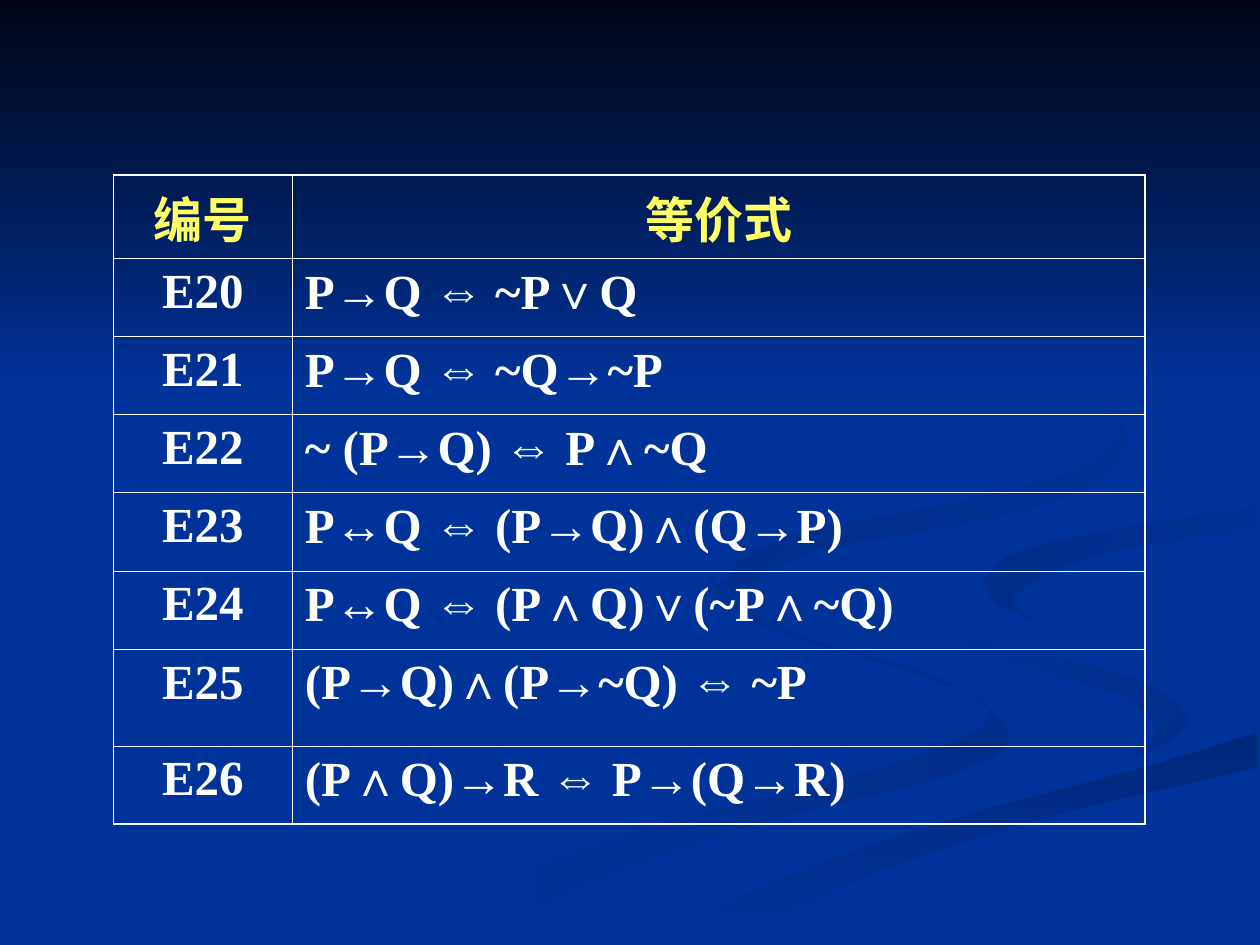
from lxml.etree import SubElement
from pptx import Presentation
from pptx.dml.color import RGBColor
from pptx.enum.text import MSO_ANCHOR, PP_ALIGN
from pptx.oxml.ns import qn
from pptx.util import Inches, Pt

BLUE, WHITE, YELLOW = "003399", "FFFFFF", "FFFF66"

# Edges shared by neighbouring ribbons
RIVER = [(7.24, 4.64), (7.58, 4.98), (8.3, 5.19), (9.05, 5.4), (9.43, 5.7)]
SWEEP = [(5.03, 7.49), (6.3, 6.93), (7.65, 6.47), (9.04, 6.1), (9.98, 5.81)]
BEND = [(7.81, 4.6), (8.1, 4.37), (8.98, 4.18), (9.98, 4.02)]

# Each ribbon: start colour, end colour, clockwise gradient angle, smooth edges
RIBBONS = [
    ("002E8A", BLUE, 180, [
        [(5.75, 4.59), (5.83, 4.77), (6.42, 5.07), (7.45, 5.38), (8, 5.81), (7.56, 6.14),
         (5.64, 6.65), (3.61, 7.49)],
        [(3, 7.49), (4.58, 6.74), (7.14, 6.05), (7.86, 5.66), (7.28, 5.35), (6.11, 4.99),
         (5.7, 4.7), (5.75, 4.59)]]),
    ("002E8A", BLUE, 225, [
        RIVER + [(9.32, 5.89), (8.94, 6.05)],
        [(8.94, 6.05), (9.18, 5.81), (8.92, 5.53), (8.38, 5.36), (7.66, 5.12), (7.24, 4.64)]]),
    ("00297C", BLUE, 90, [
        SWEEP, [(9.98, 6.09), (8.21, 6.51), (6.95, 6.92), (5.71, 7.49)]]),
    (BLUE, BLUE, 0, [
        RIVER + [(8.92, 6.05), (7.04, 6.55), (5.73, 7.03), (4.77, 7.49)],
        SWEEP,
        [(9.98, 5.38), (8.66, 5.09)] + BEND,
        [(9.98, 3.87), (8.74, 4.08), (7.55, 4.32), (7.24, 4.64)]]),
    (BLUE, "002C85", 225, [
        BEND,
        [(9.98, 4.2), (8.78, 4.39), (8.05, 4.72), (8.26, 4.96)],
        [(8.26, 4.96), (7.91, 4.78), (7.81, 4.6)]]),
    (BLUE, "002B81", 225, [
        [(7.62, 2.33), (8.43, 2.75), (8.94, 3.44), (8.55, 3.91), (7.39, 4.21), (6.25, 4.26),
         (5.77, 4.62), (6.22, 5)],
        [(6.22, 5), (5.93, 4.7), (6.49, 4.36), (7.63, 3.98), (8.61, 3.7), (8.89, 3.35),
         (8.46, 2.79), (7.62, 2.33)]]),
]
# The last ribbon's lower-left edges swap sides where the band narrows
RIBBONS[-1][3][0][5:7] = [(6.49, 4.36), (5.93, 4.7)]
RIBBONS[-1][3][1][1:3] = [(5.77, 4.62), (6.25, 4.26)]
TOP_SHADE = ("000514", BLUE, 90, [[(0, 0), (10, 0)], [(10, 3.08), (0, 3.08)]])

HEADER = ("编号", "等价式")
FORMULAS = [
    "P→Q ⇔ ~P∨Q",
    "P→Q ⇔ ~Q→~P",
    "~ (P→Q) ⇔ P∧~Q",
    "P↔Q ⇔ (P→Q)∧(Q→P)",
    "P↔Q ⇔ (P∧Q)∨(~P∧~Q)",
    "(P→Q)∧(P→~Q) ⇔ ~P",
    "(P∧Q)→R ⇔ P→(Q→R)",
]
FIRST_NUMBER = 20
COL_WIDTHS = [1.42, 6.77]
ROW_HEIGHTS = [0.62] * 6 + [0.77, 0.62]


def rgb(value):
    return RGBColor.from_string(value)


def smooth(edge, steps=5):
    """Return points on a Catmull-Rom curve through the points of the edge."""
    padded = [edge[0]] + edge + [edge[-1]]
    curve = []
    for quad in zip(padded, padded[1:], padded[2:], padded[3:]):
        for t in (k / steps for k in range(steps)):
            curve.append(tuple(
                b + t * (c - a) / 2 + t * t * (2 * a - 5 * b + 4 * c - d) / 2
                + t ** 3 * (3 * b - a - 3 * c + d) / 2
                for a, b, c, d in zip(*quad)))
    return curve + [edge[-1]]


class Deck:
    text_style = {"size": Pt(28), "bold": True}
    outer_line, inner_line = 1.08, 0.45

    def __init__(self, prs):
        self.s = prs.slides.add_slide(prs.slide_layouts[6])

    def background(self, color):
        fill = self.s.background.fill
        fill.solid()
        fill.fore_color.rgb = rgb(color)

    def outline(self, start, end, angle, edges):
        """Draw a closed shape whose fill runs from start to end colour."""
        pts = [(Inches(x), Inches(y)) for edge in edges for x, y in smooth(edge)]
        builder = self.s.shapes.build_freeform(*pts[0])
        builder.add_line_segments(pts[1:])
        sp = builder.convert_to_shape()
        sp.shadow.inherit = False
        sp.line.fill.background()
        if start == end:
            sp.fill.solid()
            sp.fill.fore_color.rgb = rgb(start)
            return
        sp.fill.gradient()
        sp.fill.gradient_angle = 360 - angle
        for stop, color, position in zip(sp.fill.gradient_stops, (start, end), (0, 1)):
            stop.color.rgb = rgb(color)
            stop.position = position

    def borders(self, cell, outer_sides):
        tc_pr = cell._tc.get_or_add_tcPr()
        for side in "LRTB":
            width = self.outer_line if side in outer_sides else self.inner_line
            ln = SubElement(tc_pr, qn("a:ln" + side), w=str(Pt(width)))
            SubElement(SubElement(ln, qn("a:solidFill")), qn("a:srgbClr"), val=WHITE)

    def cell_text(self, cell, text, color, align):
        p = cell.text_frame.paragraphs[0]
        p.alignment = align
        for part in text.partition("⇔"):
            if part:
                r = p.add_run()
                r.text = part
                name = "Arial" if part == "⇔" else "Times New Roman"
                for key, value in {**self.text_style, "name": name}.items():
                    setattr(r.font, key, value)
                r.font.color.rgb = rgb(color)

    def table(self, rows, left, top):
        last_row, last_col = len(rows) - 1, len(COL_WIDTHS) - 1
        table = self.s.shapes.add_table(
            len(rows), len(COL_WIDTHS), Inches(left), Inches(top),
            Inches(sum(COL_WIDTHS)), Inches(sum(ROW_HEIGHTS))).table
        table.first_row = table.horz_banding = False
        for column, width in zip(table.columns, COL_WIDTHS):
            column.width = Inches(width)
        for i, (row, height) in enumerate(zip(rows, ROW_HEIGHTS)):
            table.rows[i].height = Inches(height)
            for j, text in enumerate(row):
                cell = table.cell(i, j)
                cell.vertical_anchor = MSO_ANCHOR.TOP
                edges = {"L": j == 0, "R": j == last_col, "T": i == 0, "B": i == last_row}
                self.borders(cell, [side for side, is_outer in edges.items() if is_outer])
                cell.fill.background()
                centred = i == 0 or j == 0
                self.cell_text(cell, text, WHITE if i else YELLOW,
                               PP_ALIGN.CENTER if centred else PP_ALIGN.LEFT)


def main():
    prs = Presentation()
    prs.slide_width, prs.slide_height = Inches(10), Inches(7.5)
    deck = Deck(prs)
    deck.background(BLUE)
    for shape in RIBBONS + [TOP_SHADE]:
        deck.outline(*shape)
    numbered = [(f"E{n}", formula) for n, formula in enumerate(FORMULAS, FIRST_NUMBER)]
    deck.table([HEADER] + numbered, 0.9, 1.39)
    prs.save("out.pptx")


if __name__ == "__main__":
    main()
